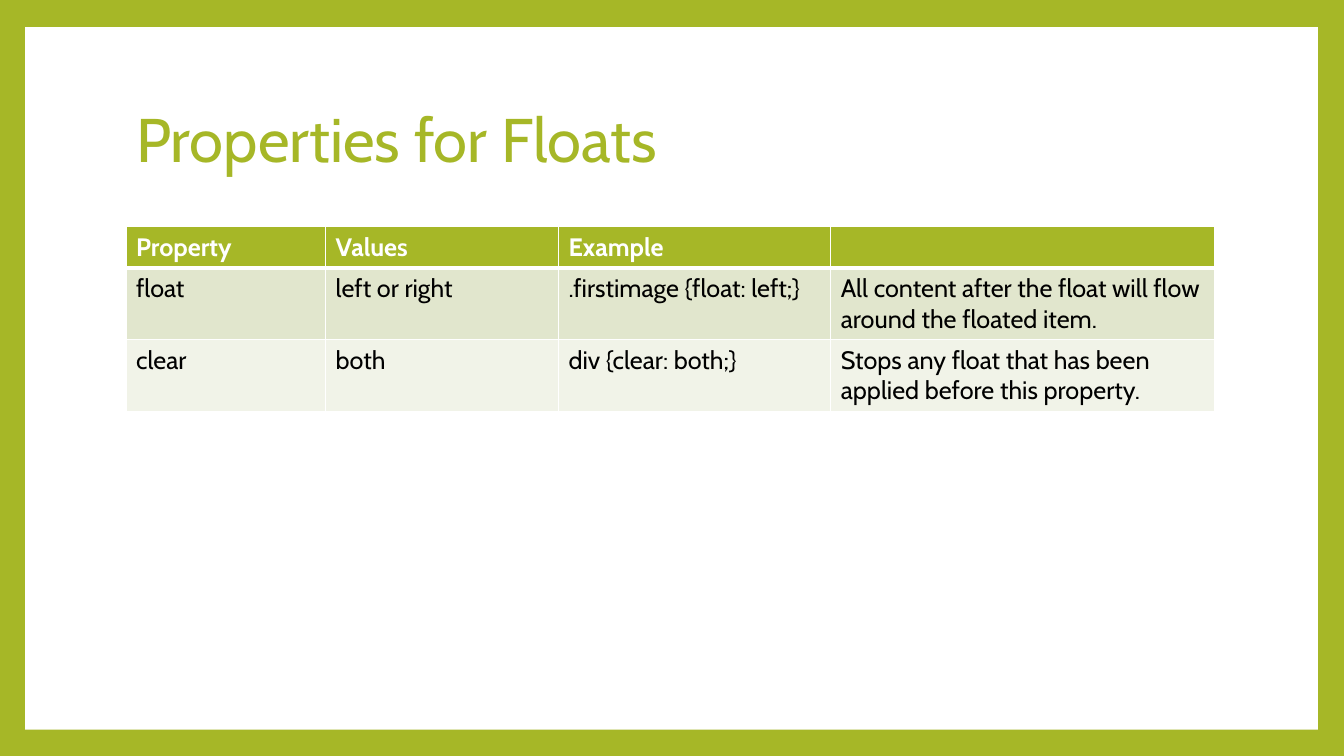
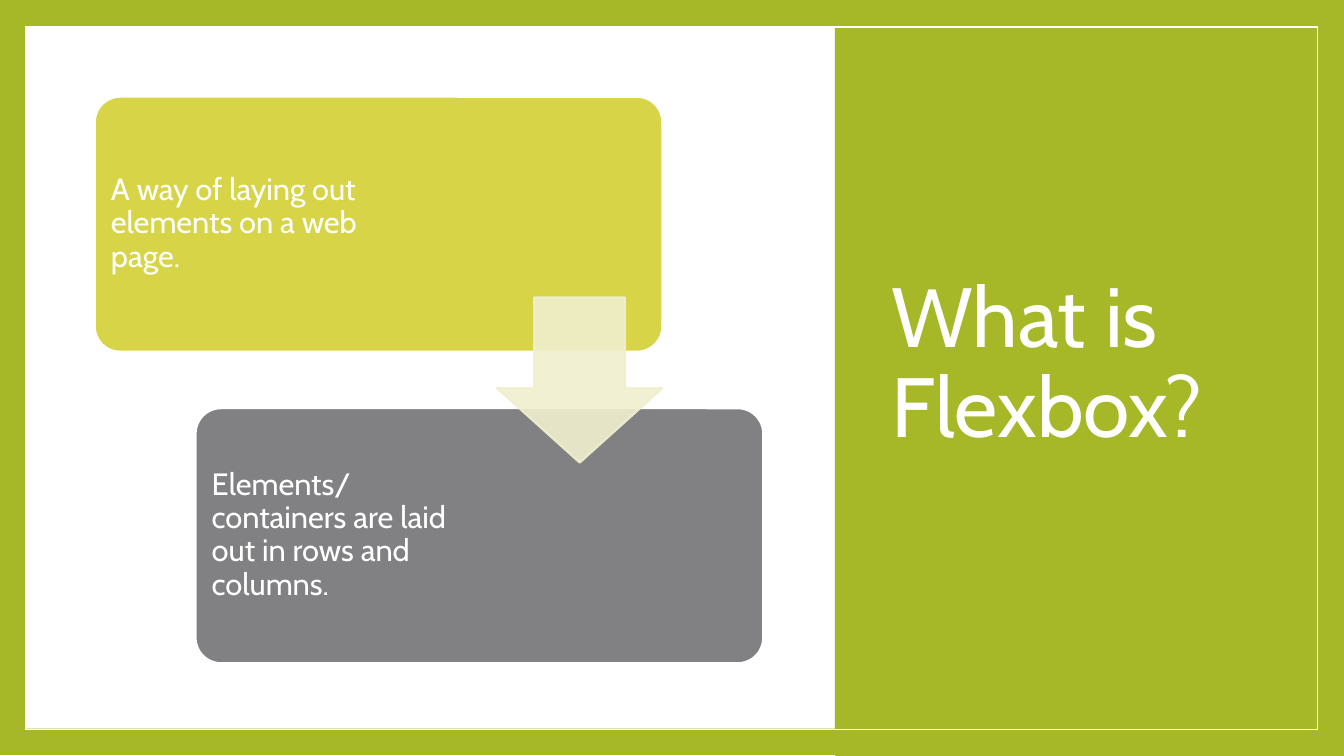
"""Build two slides on CSS layout: float properties and Flexbox."""
from lxml import etree
from pptx import Presentation
from pptx.dml.color import RGBColor
from pptx.enum import shapes, text
from pptx.oxml import ns
from pptx.util import Inches, Pt

FONT = "Cabin"
GREEN, WHITE, BLACK = "A6B727", "FFFFFF", "000000"
LIME, GRAY, CREAM = "D7D447", "818183", "F0EFCF"
FRAME = (0.25, 0.27, 12.82, 6.97)
rgb = RGBColor.from_string


def add_box(s, kind, at, fill=None, line=None, width=1.5):
    sp = s.shapes.add_shape(kind, *[Inches(v) for v in at])
    sp.shadow.inherit = False
    if fill:
        sp.fill.solid()
        sp.fill.fore_color.rgb = rgb(fill)
    else:
        sp.fill.background()
    if line:
        sp.line.color.rgb = rgb(line)
        sp.line.width = Pt(width)
    else:
        sp.line.fill.background()
    return sp


def write(tf, words, size, color, bold=False, spacing=0.9):
    tf.word_wrap = True
    p = tf.paragraphs[0]
    p.text = words
    p.alignment = text.PP_ALIGN.LEFT
    p.line_spacing = spacing
    p.font.name, p.font.size, p.font.bold = FONT, Pt(size), bold
    p.font.color.rgb = rgb(color)


prs = Presentation()
prs.slide_width, prs.slide_height = Inches(13.33), Inches(7.5)
RECT = shapes.MSO_SHAPE.RECTANGLE

slides = [
    ("Properties for Floats", (1.25, 0.67, 10.8, 1.48), 44, GREEN, GREEN,
     [(FRAME, WHITE, None)]),
    ("What is Flexbox?", (8.74, 0.67, 3.91, 5.91), 60, WHITE, WHITE,
     [((0, -0.01, 13.33, 7.5), GREEN, None),
      ((0.25, 0.26, 12.82, 6.97), WHITE, None),
      ((8.28, 0, 5.06, 7.5), GREEN, None),
      (FRAME, None, WHITE)]),
]
for words, at, size, color, back, panels in slides:
    s = prs.slides.add_slide(prs.slide_layouts[5])
    s.background.fill.solid()
    s.background.fill.fore_color.rgb = rgb(back)
    for panel, fill, line in panels:
        add_box(s, RECT, panel, fill, line, 1)
    title = s.shapes.title
    title.left, title.top, title.width, title.height = [Inches(v) for v in at]
    title.text_frame.auto_size = text.MSO_AUTO_SIZE.NONE
    title.text_frame.vertical_anchor = text.MSO_ANCHOR.MIDDLE
    write(title.text_frame, words, size, color)
    s.shapes._spTree.append(title._element)

floats, flexbox = prs.slides

rows = [
    ("Property", "Values", "Example", ""),
    ("float", "left or right", ".firstimage {float: left;}",
     "All content after the float will flow around the floated item."),
    ("clear", "both", "div {clear: both;}",
     "Stops any float that has been applied before this property."),
]
row_fills = [GREEN, "E1E6CD", "F1F3E8"]
table = floats.shapes.add_table(
    3, 4, Inches(1.25), Inches(2.25), Inches(10.8), Inches(1.81)).table
for column, width in zip(table.columns, [1.98, 2.31, 2.7, 3.81]):
    column.width = Inches(width)
for i, (row, height) in enumerate(zip(table.rows, [0.41, 0.7, 0.7])):
    row.height = Inches(height)
    for cell, words in zip(row.cells, rows[i]):
        write(cell.text_frame, words, 18, BLACK if i else WHITE, i == 0, 1)
        tcPr = cell._tc.get_or_add_tcPr()
        for side in "LRTB":
            thick = (i, side) in [(0, "B"), (1, "T")]
            ln = etree.SubElement(tcPr, ns.qn("a:ln" + side),
                                  w=str(Pt(3 if thick else 1)))
            paint = etree.SubElement(ln, ns.qn("a:solidFill"))
            etree.SubElement(paint, ns.qn("a:srgbClr"), val=WHITE)
        cell.fill.solid()
        cell.fill.fore_color.rgb = rgb(row_fills[i])

steps = [
    (0.94, 0.96, 3.02, LIME, "A way of laying out elements on a web page."),
    (1.94, 4.05, 2.85, GRAY,
     "Elements/containers are laid out in rows and columns."),
]
for x, y, width, fill, words in steps:
    card = add_box(flexbox, shapes.MSO_SHAPE.ROUNDED_RECTANGLE,
                   (x, y, 5.63, 2.53), fill, WHITE)
    card.adjustments[0] = 0.1
    label = flexbox.shapes.add_textbox(
        Inches(x + 0.07), Inches(y + 0.07), Inches(width), Inches(2.38))
    tf = label.text_frame
    tf.margin_left = tf.margin_right = Inches(0.09)
    tf.margin_top = tf.margin_bottom = Inches(0.09)
    tf.vertical_anchor = text.MSO_ANCHOR.MIDDLE
    write(tf, words, 22, WHITE)

arrow = add_box(flexbox, shapes.MSO_SHAPE.DOWN_ARROW,
                (4.93, 2.95, 1.64, 1.64), CREAM, CREAM)
arrow.adjustments[0], arrow.adjustments[1] = 0.55, 0.45
for clr in arrow._element.spPr.iter(ns.qn("a:srgbClr")):
    etree.SubElement(clr, ns.qn("a:alpha"), val="90000")

prs.save("out.pptx")
